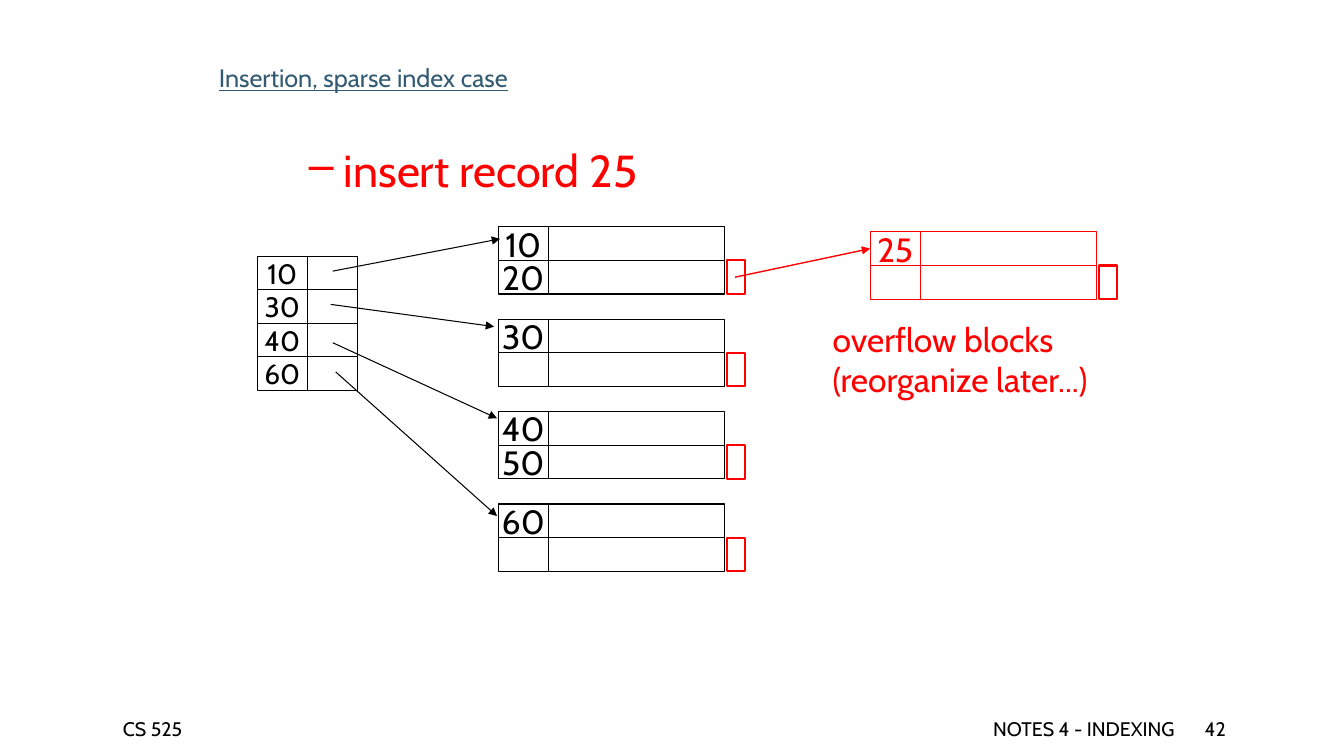
from lxml import etree
from pptx import Presentation
from pptx.dml.color import RGBColor
from pptx.enum.shapes import MSO_CONNECTOR, MSO_SHAPE
from pptx.enum.text import MSO_ANCHOR, PP_ALIGN
from pptx.oxml.ns import qn
from pptx.util import Inches, Pt

BLACK = RGBColor(0x00, 0x00, 0x00)
WHITE = RGBColor(0xFF, 0xFF, 0xFF)
RED = RGBColor(0xFF, 0x00, 0x00)
TITLE_BLUE = RGBColor(0x33, 0x5B, 0x74)
RECTANGLE = MSO_SHAPE.RECTANGLE
STRAIGHT = MSO_CONNECTOR.STRAIGHT
MIDDLE = MSO_ANCHOR.MIDDLE
LEFT, CENTER, RIGHT = PP_ALIGN.LEFT, PP_ALIGN.CENTER, PP_ALIGN.RIGHT
LEFT_SIDE = 1

ROW_HEIGHT = 1 / 3
KEY_WIDTH = 0.5
RECORD_WIDTH = 1.75
POINTER_WIDTH = 0.18
POINTER_OFFSET = 2.27
BLOCK_PITCH = 2.75 / 3


def write(shape, text, size, color=BLACK, align=LEFT, underline=None, wrap=False):
    """Fill a shape with text, one paragraph per line."""
    frame = shape.text_frame
    frame.word_wrap = wrap
    frame.vertical_anchor = MIDDLE
    frame.text = text
    for paragraph in frame.paragraphs:
        paragraph.alignment = align
        font = paragraph.runs[0].font
        font.name = "Cabin"
        font.size = Pt(size)
        font.color.rgb = color
        font.underline = underline


def add_cell(left, top, width, color=BLACK, text="", size=24, line_width=0.75):
    cell = slide.shapes.add_shape(
        RECTANGLE, Inches(left), Inches(top), Inches(width), Inches(ROW_HEIGHT))
    cell.shadow.inherit = False
    cell.fill.solid()
    cell.fill.fore_color.rgb = WHITE
    cell.line.color.rgb = color
    cell.line.width = Pt(line_width)
    if text:
        write(cell, text, size, color, CENTER)
    return cell


presentation = Presentation()
presentation.slide_width = Inches(13.33)
presentation.slide_height = Inches(7.5)
slide = presentation.slides.add_slide(presentation.slide_layouts[5])

title = slide.shapes.title
title.left, title.top = Inches(2.07), Inches(0.31)
title.width, title.height = Inches(8.5), Inches(0.92)
write(title, "Insertion, sparse index case", 18, TITLE_BLUE, underline=True, wrap=True)

# Footer
for text, left, width, align in [
    ("CS 525", 1.12, 2.36, LEFT),
    ("NOTES 4 - INDEXING", 5.3, 6.45, RIGHT),
    ("42", 11.85, 1.06, LEFT),
]:
    footer = slide.shapes.add_textbox(
        Inches(left), Inches(7.08), Inches(width), Inches(0.3))
    write(footer, text, 14, align=align, wrap=True)

# Task, with a dash as its bullet
task = slide.shapes.add_textbox(
    Inches(2.35), Inches(1.37), Inches(4.19), Inches(0.63))
write(task, " insert record 25", 32, RED, CENTER)
task_paragraph = task.text_frame.paragraphs[0]
task_paragraph.level = 1
task_properties = task_paragraph._p.get_or_add_pPr()
task_properties.set("marL", str(Inches(0.5)))
task_properties.set("indent", "0")
etree.SubElement(task_properties, qn("a:buChar")).set("char", "–")

# Sparse index
for row, key in enumerate(["10", "30", "40", "60"]):
    top = 2.54 + row * ROW_HEIGHT
    add_cell(2.55, top, KEY_WIDTH, text=key, size=20)
    add_cell(3.05, top, KEY_WIDTH)

# Data blocks, then the overflow block
blocks = [(4.94, 2.25 + i * BLOCK_PITCH, BLACK, keys) for i, keys in enumerate(
    [("10", "20"), ("30", ""), ("40", "50"), ("60", "")])]
blocks.append((8.63, 2.3, RED, ("25", "")))
key_cells = {}
for left, block_top, color, keys in blocks:
    for row, key in enumerate(keys):
        top = block_top + row * ROW_HEIGHT
        key_cells[key] = add_cell(left, top, KEY_WIDTH, color, key)
        add_cell(left + KEY_WIDTH, top, RECORD_WIDTH, color)
    add_cell(left + POINTER_OFFSET, block_top + ROW_HEIGHT, POINTER_WIDTH, RED,
             line_width=1.5)

# Index pointers, then the overflow pointer
for x1, y1, x2, y2, color, line_width in [
    (3.3, 2.69, 4.96, 2.37, BLACK, 0.75),
    (3.28, 3.02, 4.9, 3.24, BLACK, 0.75),
    (3.3, 3.4, 4.93, 4.15, BLACK, 0.75),
    (3.33, 3.69, 4.93, 5.12, BLACK, 0.75),
    (7.29, 2.75, 8.62, 2.43, RED, 1),
]:
    arrow = slide.shapes.add_connector(
        STRAIGHT, Inches(x1), Inches(y1), Inches(x2), Inches(y2))
    arrow.line.color.rgb = color
    arrow.line.width = Pt(line_width)
    line = arrow.line._get_or_add_ln()
    etree.SubElement(line, qn("a:tailEnd")).set("type", "triangle")
    etree.SubElement(arrow._element.spPr, qn("a:effectLst"))
    if color == RED:
        arrow.end_connect(key_cells["25"], LEFT_SIDE)

overflow_note = slide.shapes.add_textbox(
    Inches(8.16), Inches(3.11), Inches(3.02), Inches(0.91))
write(overflow_note, "overflow blocks\n(reorganize later...)", 24, RED)

presentation.save("out.pptx")
